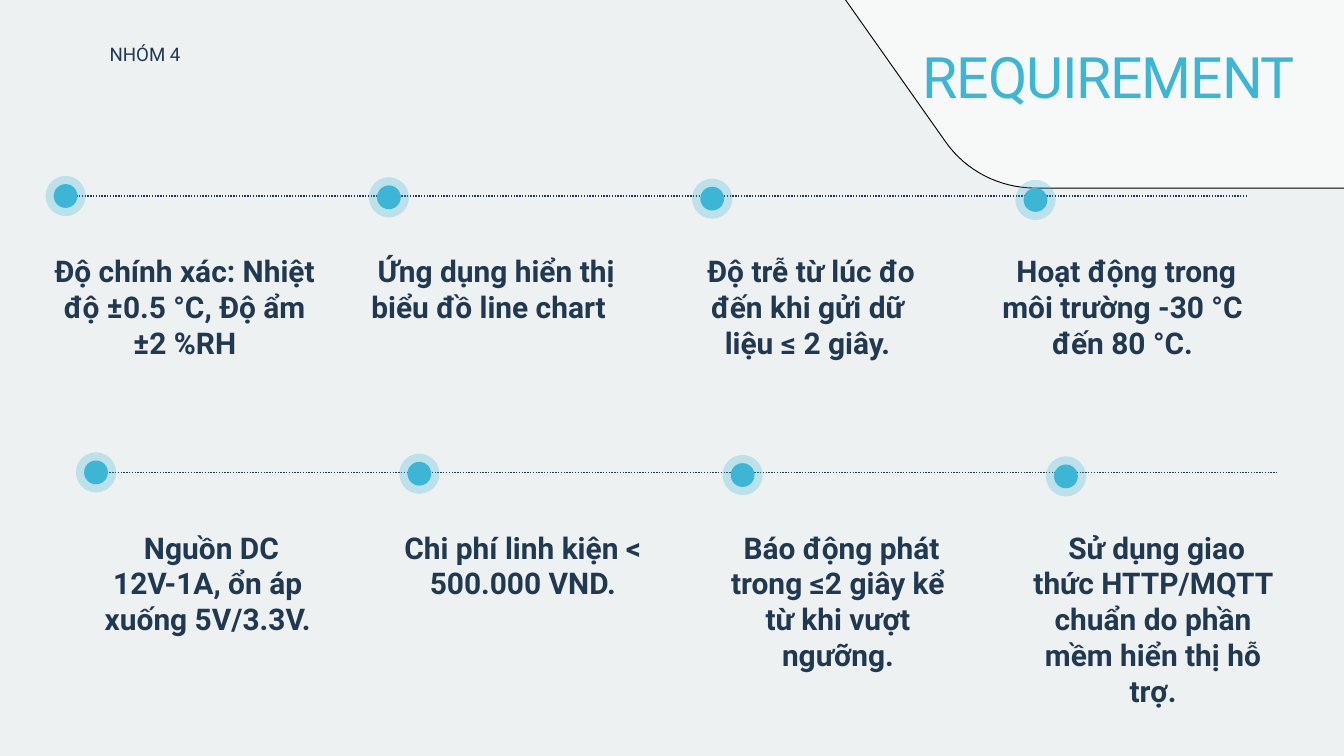
from lxml import etree
from pptx import Presentation
from pptx.dml.color import RGBColor
from pptx.enum import dml, shapes, text
from pptx.oxml import ns
from pptx.util import Cm, Pt

NAVY = RGBColor(0x20, 0x38, 0x50)
CYAN = RGBColor(0x3D, 0xB6, 0xD6)
MIST = RGBColor(0xED, 0xF1, 0xF2)
WHITE = RGBColor(0xFF, 0xFF, 0xFF)
BLACK = RGBColor(0x00, 0x00, 0x00)


def paint(shape, color, opacity=100):
    """Give the shape a flat fill of the given opacity in percent, without shadow."""
    shape.shadow.inherit = False
    shape.fill.solid()
    shape.fill.fore_color.rgb = color
    if opacity < 100:
        tint = shape.fill._xPr.find(".//" + ns.qn("a:srgbClr"))
        etree.SubElement(tint, ns.qn("a:alpha"), val=str(opacity * 1000))


def write(shape, words, *, size, leading, color=NAVY, bold=False,
          align=text.PP_ALIGN.LEFT, tracking=0):
    frame = shape.text_frame
    frame.word_wrap = True
    frame.auto_size = text.MSO_AUTO_SIZE.SHAPE_TO_FIT_TEXT
    frame.vertical_anchor = text.MSO_ANCHOR.TOP
    frame.margin_left = frame.margin_right = frame.margin_top = frame.margin_bottom = 0
    paragraph = frame.paragraphs[0]
    paragraph.alignment = align
    paragraph.line_spacing = Pt(leading)
    paragraph.space_before = Pt(0)
    run = paragraph.add_run()
    run.text = words
    run.font.name = "Roboto"
    run.font.size = Pt(size)
    run.font.bold = bold
    run.font.color.rgb = color
    if tracking:
        run._r.get_or_add_rPr().set("spc", str(round(tracking * 100)))


prs = Presentation()
prs.slide_width, prs.slide_height = Cm(50.8), Cm(28.58)
slide = prs.slides.add_slide(prs.slide_layouts[5])
slide.background.fill.solid()
slide.background.fill.fore_color.rgb = MIST

# Rounded panel behind the title: each corner is a Bézier curve in cm
corners = [
    [(63.2, -4.17), (64.11, -5.74), (63.88, -7.75), (62.64, -9.07)],
    [(50.75, -22), (49.96, -22.86), (48.84, -23.34), (47.68, -23.34)],
    [(35.2, -23.34), (32.92, -23.34), (31.04, -21.46), (31.04, -19.18)],
    [(31.04, -2.62), (31.04, -1.75), (31.32, -0.91), (31.8, -0.23)],
    [(35.74, 5.36), (36.5, 6.45), (37.77, 7.11), (39.14, 7.11)],
    [(54.25, 7.11), (55.73, 7.11), (57.1, 6.32), (57.84, 5.05)],
]
STEPS = 16
outline = []
for corner in corners:
    for step in range(STEPS + 1):
        t = step / STEPS
        weights = ((1 - t) ** 3, 3 * t * (1 - t) ** 2, 3 * t ** 2 * (1 - t), t ** 3)
        outline.append(tuple(Cm(sum(w * point[axis] for w, point in zip(weights, corner)))
                             for axis in (0, 1)))
builder = slide.shapes.build_freeform(*outline[0])
builder.add_line_segments(outline[1:], close=True)
panel = builder.convert_to_shape()
paint(panel, WHITE, opacity=60)
panel.line.color.rgb = BLACK
panel.line.width = Pt(1)

title = slide.shapes.title
title.left, title.top, title.width, title.height = Cm(34.87), Cm(1.57), Cm(15.9), Cm(2.57)
write(title, "REQUIREMENT", size=61.2, leading=73.4, color=CYAN, tracking=-1.2)
panel._element.addnext(title._element)

group_name = slide.shapes.add_textbox(Cm(4.14), Cm(1.47), Cm(8.38), Cm(0.91))
write(group_name, "NHÓM 4", size=20, leading=28)

# Two timelines: left edge, height of the line, (requirement, lines reserved)
timelines = [
    (2.03, 7.41, [
        ("Độ chính xác: Nhiệt độ ±0.5 °C, Độ ẩm ±2 %RH", 3),
        (" Ứng dụng hiển thị biểu đồ line chart ", 3),
        (" Độ trễ từ lúc đo đến khi gửi dữ liệu ≤ 2 giây.", 4),
        (" Hoạt động trong môi trường -30 °C đến 80 °C.", 4),
    ]),
    (3.18, 17.86, [
        (" Nguồn DC 12V-1A, ổn áp xuống 5V/3.3V.", 4),
        ("Chi phí linh kiện < 500.000 VND.", 3),
        (" Báo động phát trong ≤2 giây kể từ khi vượt ngưỡng.", 5),
        (" Sử dụng giao thức HTTP/MQTT chuẩn do phần mềm hiển thị hỗ trợ.", 6),
    ]),
]
TEXT_PITCH, DOT_PITCH, DOT_DRIFT = 11.91, 12.22, 0.05
LINE_HEIGHT = 1.35

for left, level, requirements in timelines:
    axis_line = slide.shapes.add_connector(
        shapes.MSO_CONNECTOR.STRAIGHT, Cm(left), Cm(level), Cm(left + 45.08), Cm(level))
    axis_line.line.color.rgb = NAVY
    axis_line.line.width = Pt(1.5)
    axis_line.line.dash_style = dml.MSO_LINE.ROUND_DOT
    etree.SubElement(axis_line._element.spPr, ns.qn("a:effectLst"))

    for i, (requirement, lines) in enumerate(requirements):
        center_x = left + 0.45 + i * DOT_PITCH
        center_y = level + i * DOT_DRIFT
        for diameter, opacity in ((1.52, 27), (0.9, 100)):
            dot = slide.shapes.add_shape(
                shapes.MSO_SHAPE.OVAL, Cm(center_x - diameter / 2),
                Cm(center_y - diameter / 2), Cm(diameter), Cm(diameter))
            paint(dot, CYAN, opacity)
            dot.line.fill.background()

        width = 9.91 if requirement.startswith("Độ") else 9.35
        label = slide.shapes.add_textbox(
            Cm(left + i * TEXT_PITCH), Cm(level + 2.15), Cm(width), Cm(lines * LINE_HEIGHT))
        write(label, requirement, size=32, leading=38.4, bold=True,
              align=text.PP_ALIGN.CENTER)

prs.save("out.pptx")
